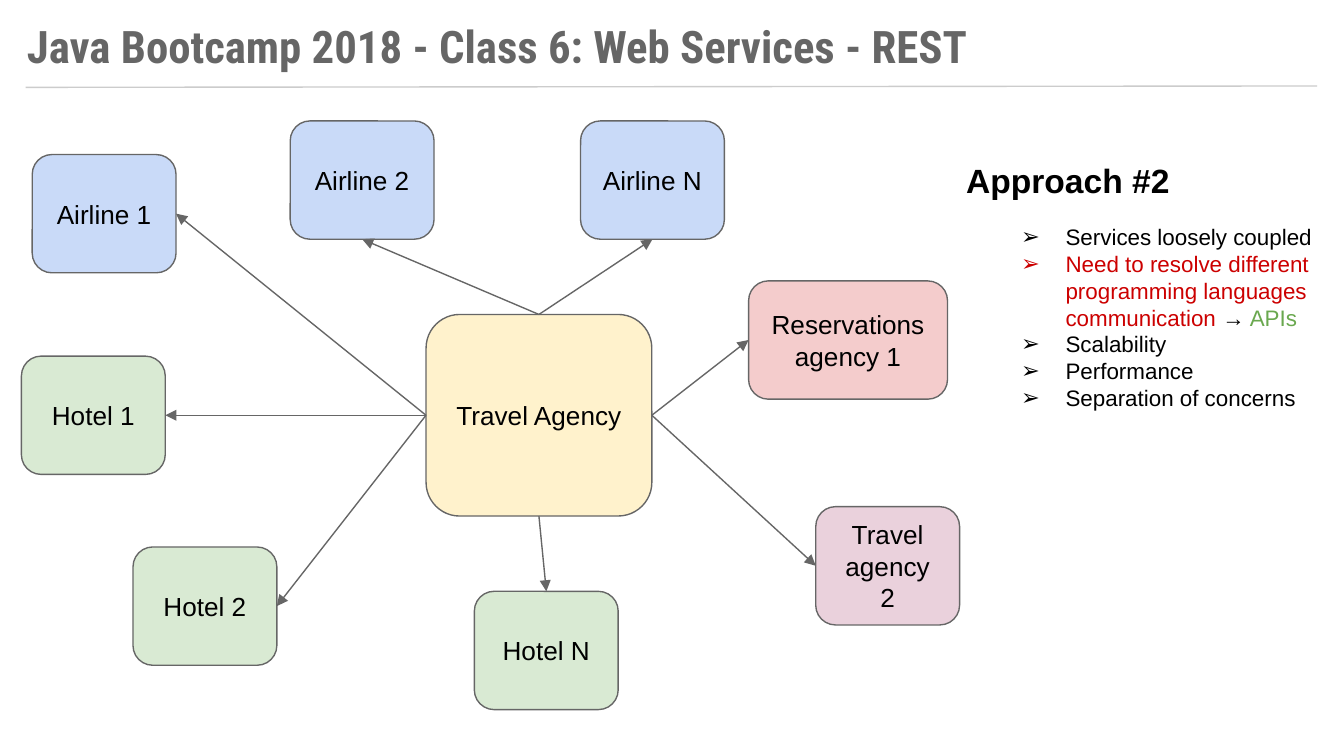
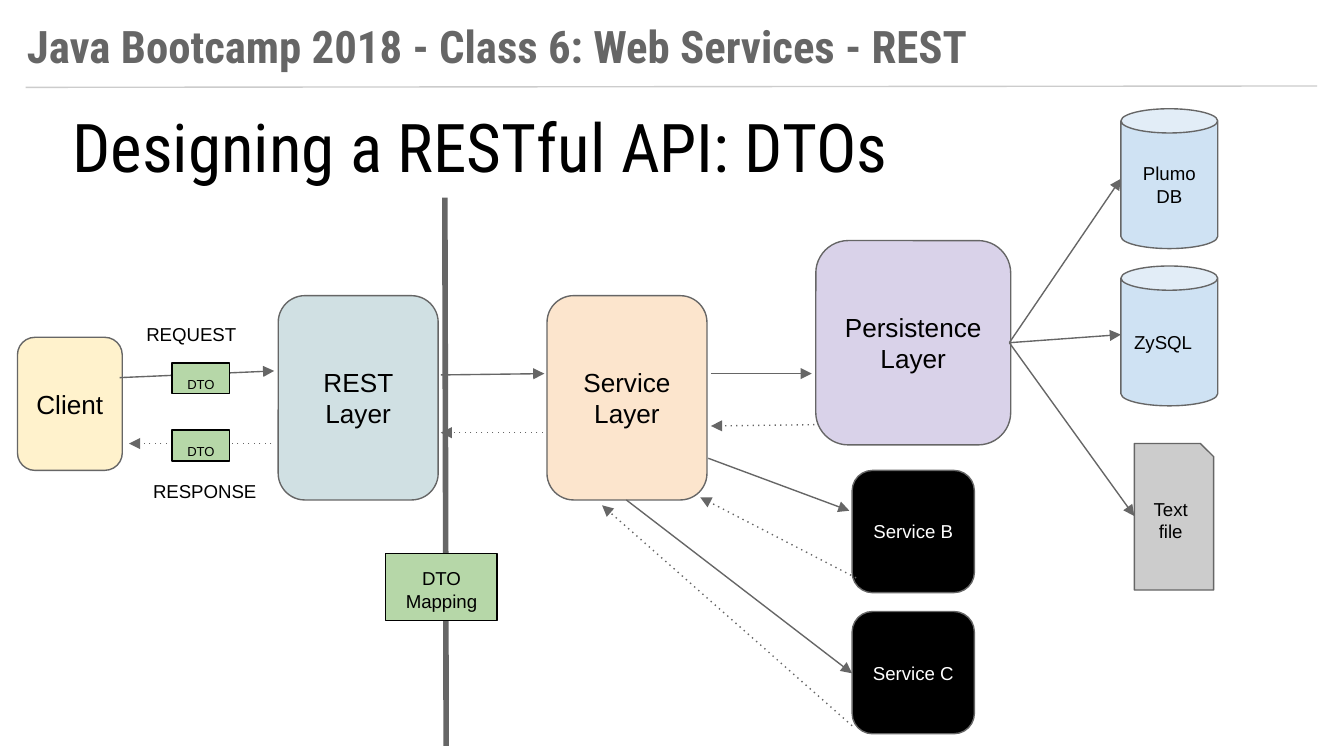
from dataclasses import dataclass

from lxml import etree
from pptx import Presentation
from pptx.dml.color import RGBColor
from pptx.enum.shapes import MSO_CONNECTOR, MSO_SHAPE
from pptx.enum.text import MSO_ANCHOR, MSO_AUTO_SIZE, PP_ALIGN
from pptx.oxml.ns import qn
from pptx.util import Inches, Pt

ROUND, RECT = MSO_SHAPE.ROUNDED_RECTANGLE, MSO_SHAPE.RECTANGLE
CAN, SNIP = MSO_SHAPE.CAN, MSO_SHAPE.SNIP_1_RECTANGLE
LEFT, MID = PP_ALIGN.LEFT, PP_ALIGN.CENTER
TOP, CENTER = MSO_ANCHOR.TOP, MSO_ANCHOR.MIDDLE
FIXED, LINE = MSO_AUTO_SIZE.NONE, MSO_CONNECTOR.STRAIGHT

# A 16:9 slide on a grid of 100 columns, with square cells
WIDE = Inches(10)
HIGH = WIDE * 9 // 16
CELL = WIDE / 100
PAD = Inches(0.1)

SANS, NARROW = "Arial", "Roboto Condensed"
HEX = {
    "black": "000000", "white": "FFFFFF", "gray": "666666", "rule": "CCCCCC",
    "cream": "FFF2CC", "blue": "C9DAF8", "green": "D9EAD3", "pink": "F4CCCC",
    "mauve": "EAD1DC", "teal": "D0E0E3", "peach": "FCE5CD", "lilac": "D9D2E9",
    "sky": "CFE2F3", "leaf": "B6D7A8", "red": "CC0000", "grass": "6AA84F",
}
HEAD = "Java Bootcamp 2018 - Class 6: Web Services - REST"


@dataclass
class Box:
    text: str
    x: float
    y: float
    w: float
    h: float
    fill: str
    form: int = ROUND
    size: int = 14
    ink: str = "black"
    edge: str = "gray"
    anchor: int = CENTER
    align: int = MID


@dataclass
class Label:
    text: str
    x: float
    y: float
    w: float
    h: float
    size: int
    font: str = SANS
    ink: str = "black"
    bold: bool = False


@dataclass
class Link:
    x1: float
    y1: float
    x2: float
    y2: float
    dots: bool = False
    ink: str = "gray"
    width: float = 0.75
    arrow: bool = True


def grid(*cells: float) -> list[int]:
    return [round(n * CELL) for n in cells]


def color(name: str) -> RGBColor:
    return RGBColor.from_string(HEX[name])


def frame(shape, anchor=TOP):
    area = shape.text_frame
    area.word_wrap = True
    area.auto_size = FIXED
    area.vertical_anchor = anchor
    area.margin_left = area.margin_right = PAD
    area.margin_top = area.margin_bottom = PAD
    return area


def style(run, size: int, ink: str, font=SANS, bold=False) -> None:
    run.font.size, run.font.name, run.font.bold = Pt(size), font, bold
    run.font.color.rgb = color(ink)


def write(shape, text: str, size: int, ink: str, font=SANS, bold=False,
          anchor=TOP, align=LEFT) -> None:
    area = frame(shape, anchor)
    area.text = text
    para = area.paragraphs[0]
    para.alignment = align
    style(para.runs[0], size, ink, font, bold)


def put_box(slide, box: Box):
    shape = slide.shapes.add_shape(box.form, *grid(box.x, box.y, box.w, box.h))
    shape.shadow.inherit = False
    shape.fill.solid()
    shape.fill.fore_color.rgb = color(box.fill)
    shape.line.color.rgb = color(box.edge)
    shape.line.width = Pt(0.75)
    write(shape, box.text, box.size, box.ink, anchor=box.anchor, align=box.align)
    return shape


def put_label(slide, tag: Label) -> None:
    shape = slide.shapes.add_textbox(*grid(tag.x, tag.y, tag.w, tag.h))
    write(shape, tag.text, tag.size, tag.ink, tag.font, tag.bold)


def put_link(slide, link: Link):
    wire = slide.shapes.add_connector(LINE, *grid(link.x1, link.y1, link.x2, link.y2))
    wire.line.color.rgb = color(link.ink)
    wire.line.width = Pt(link.width)
    stroke = wire.line._get_or_add_ln()
    if link.dots:
        etree.SubElement(stroke, qn("a:prstDash"), val="dot")
    if link.arrow:
        etree.SubElement(stroke, qn("a:tailEnd"), type="triangle")
    etree.SubElement(wire._element.spPr, qn("a:effectLst"))
    return wire


def put_list(slide, area: tuple, items: list) -> None:
    body = frame(slide.shapes.add_textbox(*grid(*area)))
    for i, parts in enumerate(items):
        para = body.add_paragraph() if i else body.paragraphs[0]
        for text, ink in parts:
            run = para.add_run()
            run.text = text
            style(run, 12, ink)
        props = para._p.get_or_add_pPr()
        props.set("marL", str(Inches(0.5)))
        props.set("indent", str(-Inches(0.33)))
        tint = etree.SubElement(props, qn("a:buClr"))
        etree.SubElement(tint, qn("a:srgbClr"), val=HEX[parts[0][1]])
        etree.SubElement(props, qn("a:buFont"), typeface=SANS)
        etree.SubElement(props, qn("a:buChar"), char="➢")


def new_slide(deck):
    slide = deck.slides.add_slide(deck.slide_layouts[5])
    title = slide.shapes.title
    title.left, title.top, title.width, title.height = grid(1, 0.4, 78.4, 5)
    write(title, HEAD, 24, "gray", NARROW, True)
    put_link(slide, Link(1.9, 6.5, 98, 6.4, ink="rule", arrow=False))
    return slide


# Slide 1: the hub and its partners
def draw_hub(deck) -> None:
    slide = new_slide(deck)
    hub = put_box(slide, Box("Travel Agency", 31.7, 23.4, 16.8, 15, "cream"))
    top, left, foot, right = range(4)
    w, h = 10.7, 8.8
    # Each partner, with the side left from and the side reached
    nodes = [
        (Box("Airline 1", 2.4, 11.5, w, h, "blue"), left, right),
        (Box("Airline 2", 21.6, 9, w, h, "blue"), top, foot),
        (Box("Airline N", 43.2, 9, w, h, "blue"), top, foot),
        (Box("Hotel 1", 1.6, 26.5, w, h, "green"), left, right),
        (Box("Hotel 2", 9.9, 40.7, w, h, "green"), left, right),
        (Box("Hotel N", 35.3, 44, w, h, "green"), foot, top),
        (Box("Travel agency 2", 60.7, 37.7, w, h, "mauve"), right, left),
        (Box("Reservations agency 1", 55.7, 20.9, 14.8, h, "pink"), right, left),
    ]
    for box, start, end in nodes:
        node = put_box(slide, box)
        wire = put_link(slide, Link(0, 0, 0, 0))
        wire.begin_connect(hub, start)
        wire.end_connect(node, end)
    put_list(slide, (73.3, 15.6, 26.8, 25.5), [
        [("Services loosely coupled", "black")],
        [("Need to resolve different programming languages communication ", "red"),
         ("→", "black"), (" APIs", "grass")],
        [("Scalability", "black")],
        [("Performance", "black")],
        [("Separation of concerns", "black")],
    ])
    put_label(slide, Label("Approach #2", 70.9, 10.9, 26.9, 7.2, 18, bold=True))


# Slide 2: layers from client to stores
def draw_layers(deck) -> None:
    slide = new_slide(deck)
    for tag in (
        Label("Designing a RESTful API: DTOs", 4.4, 6.8, 80.6, 7.8, 36, NARROW),
        Label("REQUEST", 9.9, 23, 11.1, 5, 10),
        Label("RESPONSE", 10.4, 34.7, 11.1, 5, 10),
    ):
        put_label(slide, tag)

    # Layers, stores and services
    boxes = [
        Box("Client", 1.3, 25.1, 7.8, 9.9, "cream"),
        Box("REST Layer", 20.7, 22, 11.9, 15.2, "teal"),
        Box("Service Layer", 40.7, 22, 11.9, 15.2, "peach"),
        Box("Persistence Layer", 60.7, 17.9, 14.5, 15.2, "lilac"),
        Box("Text file", 84.4, 33, 5.9, 10.9, "rule", SNIP, 10),
    ]
    for i, (name, align) in enumerate((("Plumo DB", MID), ("ZySQL", LEFT))):
        boxes.append(Box(name, 83.4, 8.1 + 11.7 * i, 7.2, 10.4, "sky", CAN, 10,
                         align=align))
    for i, name in enumerate(("Service B", "Service C")):
        boxes.append(Box(name, 63.4, 35 + 10.5 * i, 9.1, 9.1, "black", size=10,
                         ink="white"))
    for box in boxes:
        put_box(slide, box)

    # Calls, then dotted replies, then the border between sides
    calls = [
        (8.9, 28.1, 20.4, 27.6), (32.8, 27.9, 40.5, 27.8), (52.9, 27.8, 60.4, 27.8),
        (52.7, 34.1, 63.2, 38), (46.6, 37.2, 63.4, 50.1),
    ]
    calls += [(75.1, 25.5, x, y) for x, y in ((83.4, 13.3), (83.4, 24.9), (84.4, 38.4))]
    replies = [
        (20.2, 33, 9.6, 33), (40.4, 32.2, 32.8, 32.2), (60.6, 31.6, 52.9, 31.7),
        (63.7, 43, 52.1, 37), (63.4, 54, 44.8, 37.6),
    ]
    for ends in calls:
        put_link(slide, Link(*ends))
    for ends in replies:
        put_link(slide, Link(*ends, dots=True))
    put_link(slide, Link(33.1, 14.7, 33.2, 55.5, width=3, arrow=False))

    # Data objects on the wires
    for text, x, y, w, h, size in (
        ("DTO", 12.8, 32, 4.3, 2.3, 7),
        ("DTO", 12.8, 27, 4.3, 2.3, 7),
        ("DTO Mapping", 28.7, 41.2, 8.3, 5, 10),
    ):
        put_box(slide, Box(text, x, y, w, h, "leaf", RECT, size, edge="black",
                           anchor=TOP))


def main() -> None:
    deck = Presentation()
    deck.slide_width, deck.slide_height = WIDE, HIGH
    draw_hub(deck)
    draw_layers(deck)
    deck.save("out.pptx")


if __name__ == "__main__":
    main()
